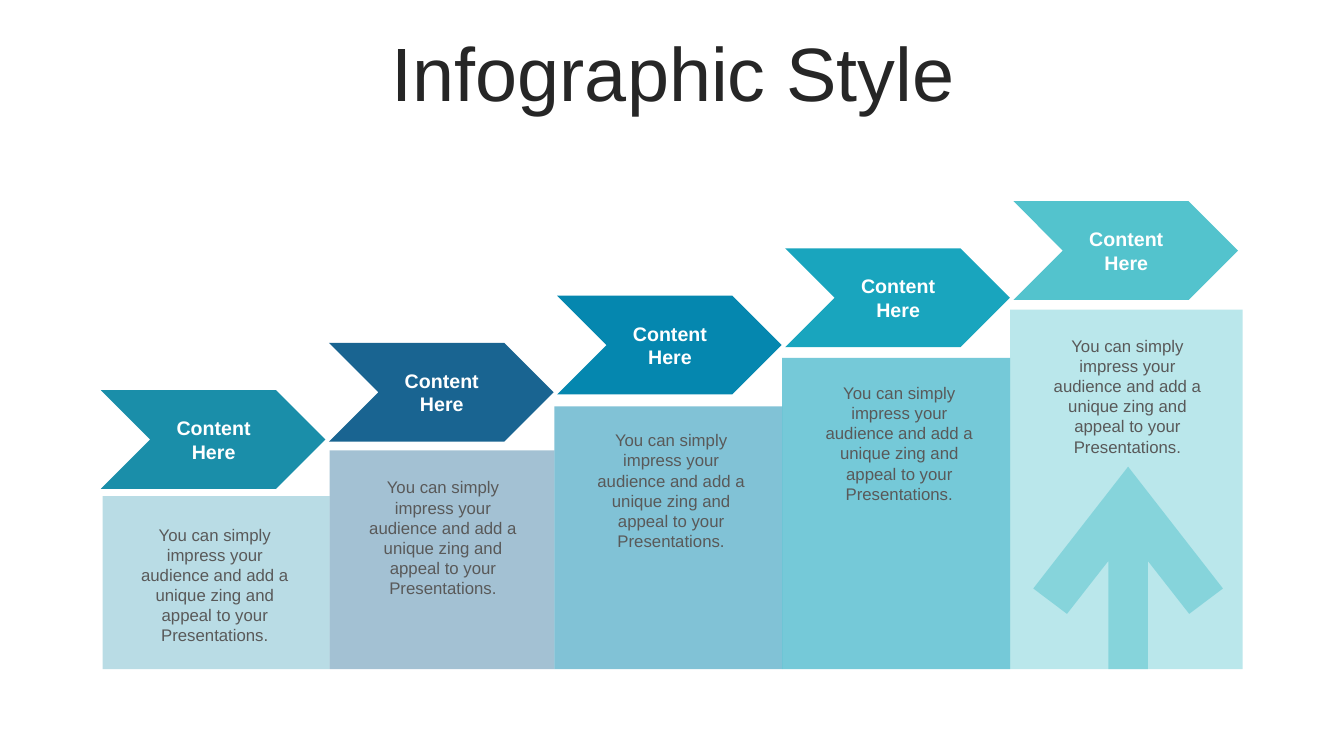
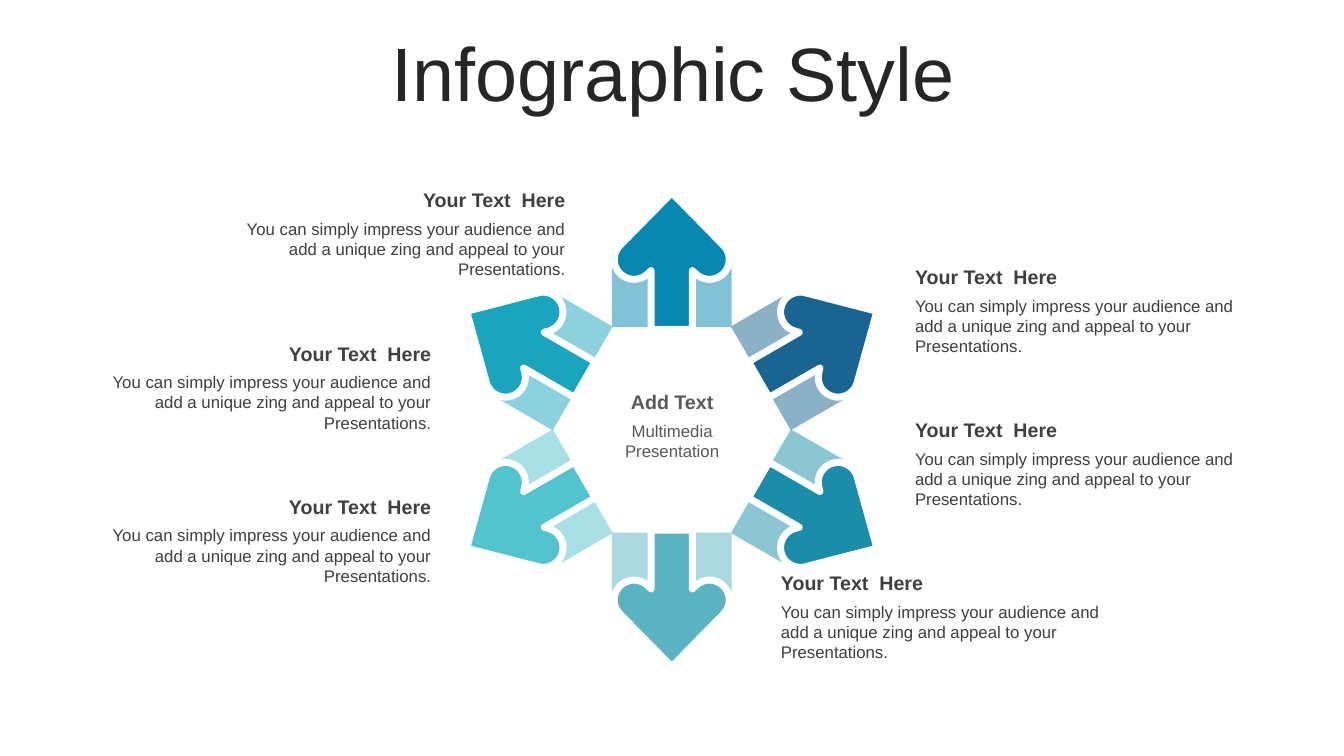
"""Build two infographic slides: rising steps and a ring of six arrows."""
from dataclasses import dataclass
from math import cos, radians, sin

from pptx import Presentation
from pptx.dml.color import RGBColor
from pptx.enum.shapes import MSO_SHAPE as Preset
from pptx.enum.text import MSO_ANCHOR as Anchor, MSO_AUTO_SIZE as AutoSize, PP_ALIGN as Align
from pptx.oxml.ns import qn
from pptx.oxml.xmlchemy import OxmlElement
from pptx.util import Cm, Pt


@dataclass(frozen=True)
class Theme:
    font: str = "Arial"
    title_size: int = 54
    heading_size: int = 14
    body_size: int = 12
    ink: str = "262626"
    dark: str = "3F3F3F"
    grey: str = "595959"
    white: str = "FFFFFF"
    teal: str = "1A8EA9"
    navy: str = "196491"
    blue: str = "0587AF"
    cyan: str = "19A5BE"
    aqua: str = "53C3CD"
    sea: str = "5AB4C1"


THEME = Theme()
TITLE = "Infographic Style"
BLURB = "You can simply impress your audience and add a unique zing and appeal to your Presentations."
HEADING = "Your Text  Here"


class Deck:
    def __init__(self, theme):
        self.theme = theme
        self.file = Presentation()
        self.file.slide_width, self.file.slide_height = Cm(33.87), Cm(19.05)
        self.page = None

    def new_page(self, title):
        self.page = self.file.slides.add_slide(self.file.slide_layouts[5])
        box = self.page.shapes.title
        place = {"left": 0.89, "top": 0.94, "width": 32.16, "height": 2.01}
        for name, value in place.items():
            setattr(box, name, Cm(value))
        self.fill_text(box, title, self.theme.title_size, self.theme.ink, Align.CENTER)
        box.text_frame.auto_size = AutoSize.NONE
        box.text_frame.vertical_anchor = Anchor.MIDDLE
        box.text_frame.paragraphs[0].line_spacing = 0.9

    def fill_text(self, box, text, size, colour, align, bold=False):
        frame = box.text_frame
        frame.word_wrap = True
        frame.text = text
        style = {"name": self.theme.font, "size": Pt(size), "bold": bold}
        for para in frame.paragraphs:
            para.alignment = align
            for span in para.runs:
                for name, value in style.items():
                    setattr(span.font, name, value)
                span.font.color.rgb = RGBColor.from_string(colour)

    def text(self, left, top, width, height, *style, **options):
        box = self.page.shapes.add_textbox(Cm(left), Cm(top), Cm(width), Cm(height))
        self.fill_text(box, *style, **options)
        box.text_frame.auto_size = AutoSize.SHAPE_TO_FIT_TEXT

    def stack(self, left, top, width, heading, body, colour, align):
        self.text(left, top, width, 0.86, heading, self.theme.heading_size, colour, align, bold=True)
        self.text(left, top + 0.77, width, 1.8, body, self.theme.body_size, colour, align)

    def paint(self, shape, colour, opacity=100, outline=0):
        shape.shadow.inherit = False
        shape.fill.solid()
        shape.fill.fore_color.rgb = RGBColor.from_string(colour)
        if opacity < 100:
            alpha = OxmlElement("a:alpha")
            alpha.set("val", str(opacity * 1000))
            shape.element.spPr.find(".//" + qn("a:srgbClr")).append(alpha)
        if outline:
            shape.line.color.rgb = RGBColor.from_string(self.theme.white)
            shape.line.width = Pt(outline)
        else:
            shape.line.fill.background()

    def preset(self, kind, left, top, width, height, colour, opacity=100, rotation=0):
        shape = self.page.shapes.add_shape(kind, Cm(left), Cm(top), Cm(width), Cm(height))
        shape.rotation = rotation
        self.paint(shape, colour, opacity)

    def outline(self, points, *paint):
        corners = [(Cm(x), Cm(y)) for x, y in points]
        builder = self.page.shapes.build_freeform(*corners[0])
        builder.add_line_segments(corners[1:], close=True)
        self.paint(builder.convert_to_shape(), *paint)


def mirrored(half):
    return half + [(-x, y) for x, y in reversed(half)]


def steps_page(deck):
    theme = deck.theme
    deck.new_page(TITLE)
    bottom = 16.86
    columns = [
        (theme.teal, 30, 2.59, 12.5, 5.72),
        (theme.navy, 40, 8.31, 11.35, 5.66),
        (theme.blue, 50, 13.97, 10.24, 5.74),
        (theme.cyan, 60, 19.71, 9.02, 5.75),
        (theme.aqua, 40, 25.46, 7.8, 5.86),
    ]
    for step, (colour, opacity, left, top, width) in enumerate(columns):
        x, y = 2.54 + 5.75 * step, 9.83 - 1.19 * step
        deck.preset(Preset.RECTANGLE, left, top, width, bottom - top, colour, opacity)
        deck.preset(Preset.CHEVRON, x, y, 5.66, 2.49, colour)
        deck.text(x + 1.45, y + 0.53, 2.79, 1.44, "Content\nHere",
                  theme.heading_size, theme.white, Align.CENTER, bold=True)
        deck.text(x + 0.5, y + 3.26, 4.75, 2.82, BLURB, theme.body_size, theme.grey, Align.CENTER)
    half = [(0, 0), (2.39, 3.07), (1.54, 3.71), (0.5, 2.38), (0.5, 5.1)]
    deck.outline([(28.43 + x, 11.76 + y) for x, y in mirrored(half)], theme.aqua, 50)


def ring_page(deck):
    theme = deck.theme
    deck.new_page(TITLE)
    centre_x, centre_y = 16.93, 10.83
    cap = [(0.95 + 0.5 * cos(radians(a)), 4.29 + 0.5 * sin(radians(a))) for a in range(45, -136, -10)]
    arrow = mirrored([(0, 5.97)] + cap + [(0.52, 4.01), (0.52, 2.53)])
    colours = [theme.blue, theme.navy, theme.teal, theme.sea, theme.aqua, theme.cyan]
    width, height, reach = 3.02, 1.6, 3.39
    for index, colour in enumerate(colours):
        angle = 60 * index
        across, out = cos(radians(angle)), sin(radians(angle))
        deck.preset(Preset.RECTANGLE, centre_x + reach * out - width / 2,
                    centre_y - reach * across - height / 2, width, height, colour, 50, angle)
        deck.outline([(centre_x + x * across + y * out, centre_y + x * out - y * across)
                      for x, y in arrow], colour, 100, 5)
    deck.stack(15.16, 9.7, 3.56, "Add Text", "Multimedia Presentation", theme.grey, Align.CENTER)
    sides = [
        (Align.RIGHT, 4.62, (5.41, 2.03, 2.03)),
        (Align.LEFT, 6.55, (22.81, 22.81, 19.43)),
    ]
    for align, top, lefts in sides:
        for row, left in enumerate(lefts):
            deck.stack(left, top + 3.86 * row, 9.09, HEADING, BLURB, theme.dark, align)


def main():
    deck = Deck(THEME)
    steps_page(deck)
    ring_page(deck)
    deck.file.save("out.pptx")


if __name__ == "__main__":
    main()
